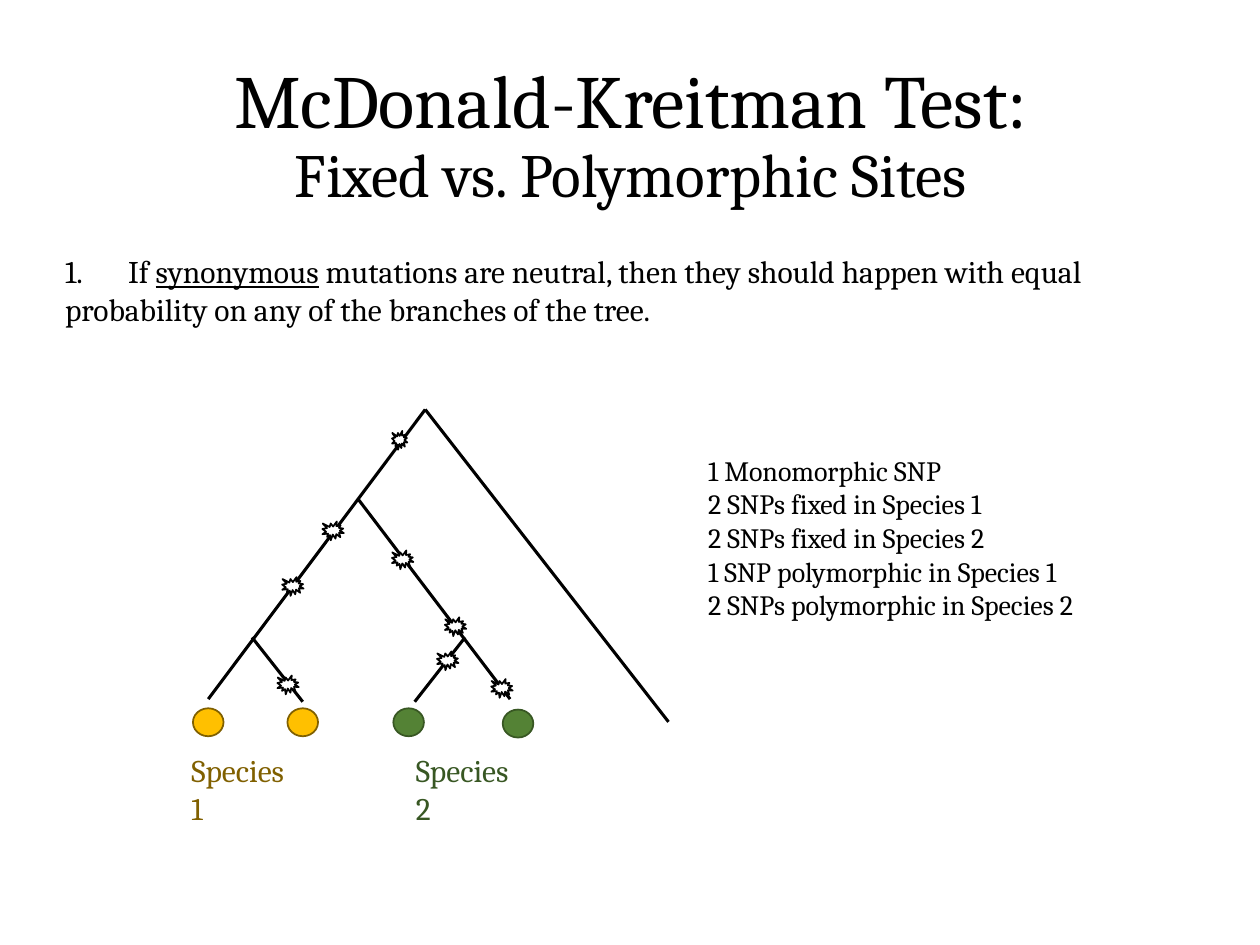
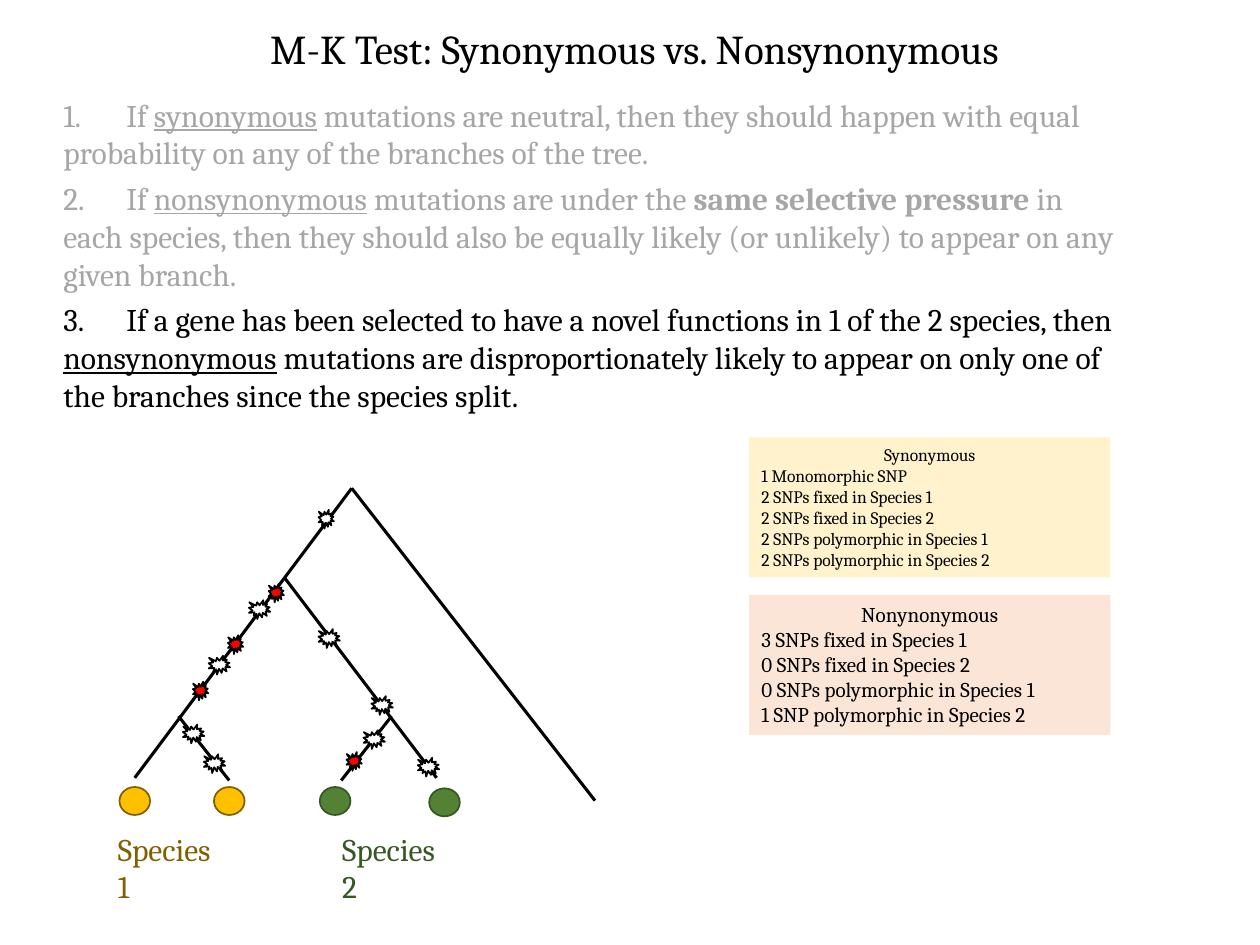
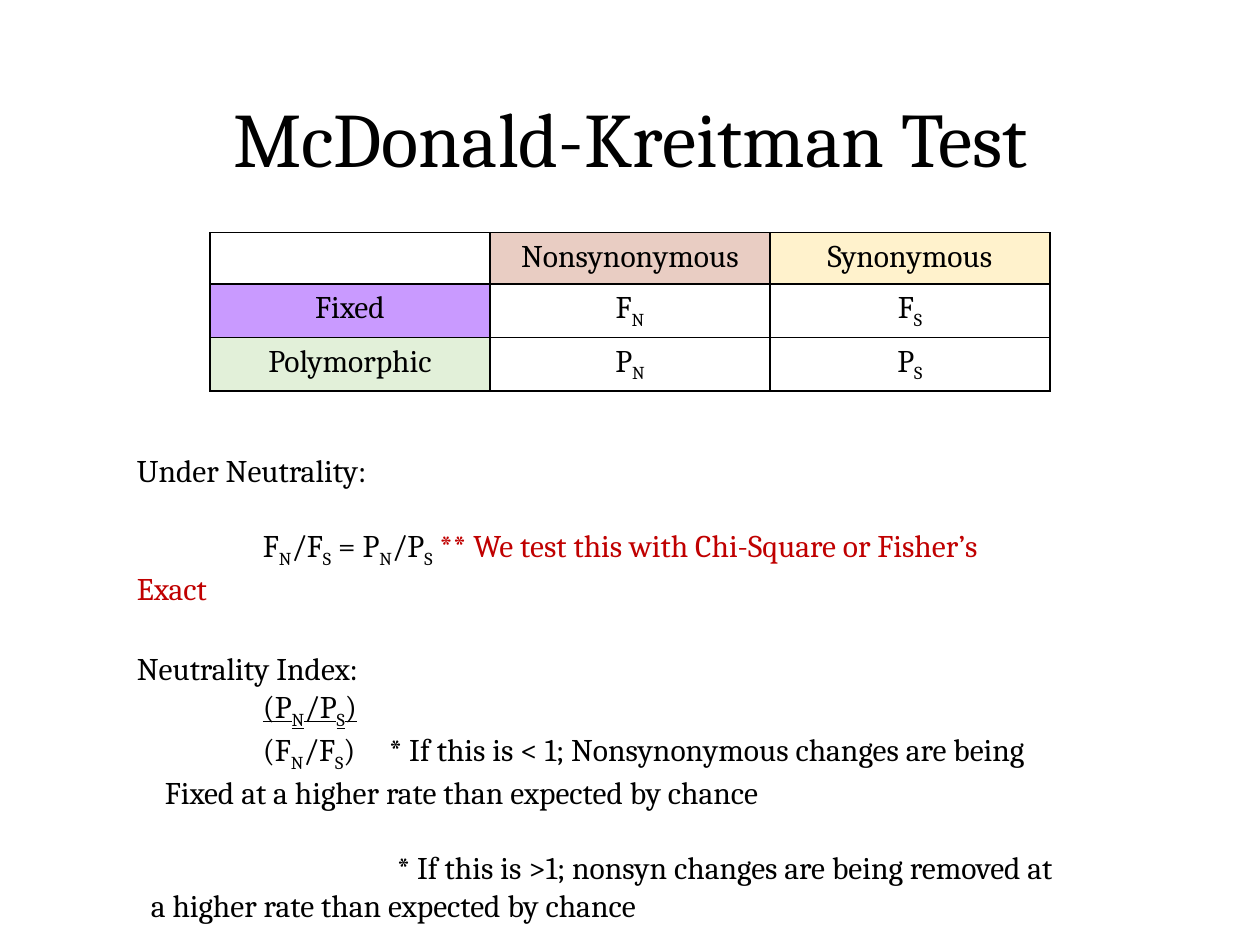
from dataclasses import dataclass, field
from typing import Any, Optional

from lxml import etree
from pptx import Presentation
from pptx import util as u
from pptx.dml import color
from pptx.enum import shapes, text
from pptx.oxml import ns

Pt = u.Pt
CENTER = text.PP_ALIGN.CENTER


@dataclass(frozen=True)
class Theme:
    font: str = "Cambria"
    ink: str = "000000"
    paper: str = "FFFFFF"
    faded: str = "A6A6A6"
    alert: str = "C00000"
    mutation: str = "FF0000"
    gold: str = "FFC000"
    gold_dark: str = "806000"
    green: str = "548235"
    green_dark: str = "385723"
    cream: str = "FFF2CC"
    peach: str = "FBE5D6"
    rose: str = "D59D89"
    violet: str = "9437FF"
    mint: str = "E2F0D9"
    title: float = 44
    title_first: float = 42.9
    title_second: float = 35.1
    title_small: float = 23.4
    body: float = 18
    notes: float = 16
    panel: float = 12
    panel_small: float = 10
    branch: float = 1.75
    outline: float = 1


THEME = Theme()


@dataclass(frozen=True)
class Box:
    left: float
    top: float
    width: float
    height: float

    def lengths(self) -> tuple:
        return Pt(self.left), Pt(self.top), Pt(self.width), Pt(self.height)


@dataclass(frozen=True)
class Span:
    text: str
    format: dict[str, Any] = field(default_factory=dict)
    colour: str = THEME.ink
    lowered: bool = False


@dataclass(frozen=True)
class Para:
    spans: list[Span]
    format: dict[str, Any] = field(default_factory=dict)
    margin: float = 0
    indent: float = 0
    tab: Optional[float] = None


@dataclass(frozen=True)
class Branch:
    start: tuple[float, float]
    end: tuple[float, float]


@dataclass(frozen=True)
class Species:
    name: str
    fill: str
    dark: str
    label_left: float
    tips: list[tuple[float, float]]


@dataclass(frozen=True)
class Mutation:
    left: float
    top: float
    width: float = 12.25
    fill: str = THEME.paper


@dataclass(frozen=True)
class Panel:
    box: Box
    lines: list[str]
    size: float
    fill: Optional[str] = None
    heading: Optional[str] = None


# Tree positions are measured from its apex.
SPLIT, SPLIT_1, SPLIT_2 = (-38.5, 51), (-99, 130.25), (22.75, 130.25)
BRANCHES = [
    Branch((-124, 165.5), (0, 0)),
    Branch((139, 178.5), (0, 0)),
    Branch((48.5, 165.5), SPLIT),
    Branch((-70, 167), SPLIT_1),
    Branch((-6, 167), SPLIT_2),
]
SPECIES = [
    Species("Species 1", THEME.gold, THEME.gold_dark, -140.75,
            [(-132.75, 170.75), (-78.75, 170.75)]),
    Species("Species 2", THEME.green, THEME.green_dark, -12.5,
            [(-18.25, 170.75), (44.25, 171.5)]),
]
SILENT = [
    Mutation(-19, 12.25, 8.75),
    Mutation(-19, 80.5),
    Mutation(-81.75, 95.75),
    Mutation(-84.5, 152),
    Mutation(6.75, 138.25),
    Mutation(-58.75, 64),
    Mutation(37.75, 154),
    Mutation(11.25, 118.75),
]
CHANGING = [
    Mutation(left, top, 8.75, THEME.mutation)
    for left, top in [(-47.5, 54.5), (-70.75, 84), (-90.75, 110.5), (-3, 150.75)]
]


def rgb(value: str) -> color.RGBColor:
    return color.RGBColor.from_string(value)


def add_node(parent: Any, tag: str, **values: Any) -> Any:
    node = etree.SubElement(parent, ns.qn(tag))
    for name, value in values.items():
        node.set(name, str(value))
    return node


def write(frame: Any, paras: list[Para], size: float = THEME.body) -> None:
    """Fill a text frame, without bullets, at one base size."""
    for number, para in enumerate(paras):
        target = frame.paragraphs[0] if number == 0 else frame.add_paragraph()
        for name, value in {"space_before": Pt(0), **para.format}.items():
            setattr(target, name, value)
        properties = target._p.get_or_add_pPr()
        properties.set("marL", str(Pt(para.margin)))
        properties.set("indent", str(Pt(para.indent)))
        add_node(properties, "a:buNone")
        if para.tab is not None:
            stops = add_node(properties, "a:tabLst")
            add_node(stops, "a:tab", pos=Pt(para.tab), algn="l")
        for span in para.spans:
            if span.text == "\n":
                target.add_line_break()
                continue
            run = target.add_run()
            run.text = span.text
            base = {"name": THEME.font, "size": Pt(size)}
            for name, value in {**base, **span.format}.items():
                setattr(run.font, name, value)
            run.font.color.rgb = rgb(span.colour)
            if span.lowered:
                run._r.get_or_add_rPr().set("baseline", "-25000")


def fill_placeholder(holder: Any, box: Box, paras: list[Para],
                     size: float = THEME.body) -> None:
    holder.left, holder.top, holder.width, holder.height = box.lengths()
    holder.text_frame.auto_size = text.MSO_AUTO_SIZE.NONE
    write(holder.text_frame, paras, size)


def add_page(deck: Any, title: list[Span], title_box: Box, title_size: float,
             body: list[Para], body_box: Box) -> Any:
    page = deck.slides.add_slide(deck.slide_layouts.get_by_name("Title and Content"))
    heading = Para(title, {"alignment": CENTER, "line_spacing": 0.9})
    fill_placeholder(page.shapes.title, title_box, [heading], title_size)
    fill_placeholder(page.placeholders[1], body_box, body)
    return page


def add_text(parent: Any, box: Box, paras: list[Para], size: float) -> Any:
    shape = parent.add_textbox(*box.lengths())
    shape.text_frame.word_wrap = True
    write(shape.text_frame, paras, size)
    return shape


def add_panel(page: Any, panel: Panel) -> None:
    paras = [Para([Span(line)]) for line in panel.lines]
    if panel.heading:
        paras.insert(0, Para([Span(panel.heading)], {"alignment": CENTER}))
    shape = add_text(page.shapes, panel.box, paras, panel.size)
    if panel.fill:
        shape.fill.solid()
        shape.fill.fore_color.rgb = rgb(panel.fill)


def add_mark(parent: Any, kind: Any, box: Box, fill: str, line: str) -> None:
    shape = parent.add_shape(kind, *box.lengths())
    shape.shadow.inherit = False
    shape.fill.solid()
    shape.fill.fore_color.rgb = rgb(fill)
    shape.line.color.rgb = rgb(line)
    shape.line.width = Pt(THEME.outline)


def add_tree(page: Any, apex: tuple[float, float], mutations: list[Mutation]) -> None:
    group = page.shapes.add_group_shape().shapes
    x, y = apex
    for branch in BRANCHES:
        ends = [Pt(origin + step) for point in (branch.start, branch.end)
                for origin, step in zip(apex, point)]
        line = group.add_connector(shapes.MSO_CONNECTOR.STRAIGHT, *ends)
        line.line.color.rgb = rgb(THEME.ink)
        line.line.width = Pt(THEME.branch)
        add_node(line._element.spPr, "a:effectLst")
    for species in SPECIES:
        for left, top in species.tips:
            add_mark(group, shapes.MSO_SHAPE.OVAL, Box(x + left, y + top, 17.5, 16),
                     species.fill, species.dark)
        label = Para([Span(species.name, colour=species.dark)])
        add_text(group, Box(x + species.label_left, y + 191.5, 71.5, 22.5),
                 [label], THEME.body)
    for mutation in mutations:
        box = Box(x + mutation.left, y + mutation.top, mutation.width, 10.75)
        add_mark(group, shapes.MSO_SHAPE.EXPLOSION1, box, mutation.fill, THEME.ink)


def statement(number: int, *parts: tuple[str, dict], colour: str = THEME.ink,
              before: float = 0) -> Para:
    spans = [Span(f"{number}.\t", colour=colour)]
    spans += [Span(words, look, colour) for words, look in parts]
    return Para(spans, {"space_before": Pt(before)}, tab=18.5)


def neutral_statement(colour: str) -> Para:
    return statement(
        1, ("If ", {}), ("synonymous", {"underline": True}),
        (" mutations are neutral, then they should happen with equal probability "
         "on any of the branches of the tree.", {}), colour=colour)


def count(letter: str, kind: str, **look: Any) -> list[Span]:
    return [Span(letter, look), Span(kind, look, lowered=True)]


def ratio(letter: str, **look: Any) -> list[Span]:
    return count(letter, "N", **look) + [Span("/", look)] + count(letter, "S", **look)


def add_count_table(page: Any) -> None:
    rows = [
        [[], [Span("Nonsynonymous")], [Span("Synonymous")]],
        [[Span("Fixed")], count("F", "N"), count("F", "S")],
        [[Span("Polymorphic")], count("P", "N"), count("P", "S")],
    ]
    fills = {(0, 1): (THEME.rose, 50), (0, 2): (THEME.cream, 100),
             (1, 0): (THEME.violet, 50), (2, 0): (THEME.mint, 100)}
    table = page.shapes.add_table(3, 3, *Box(120, 133, 480, 87.75).lengths()).table
    table.first_row = table.horz_banding = False
    for r, row in enumerate(rows):
        table.rows[r].height = Pt(29.25)
        for c, spans in enumerate(row):
            cell = table.cell(r, c)
            write(cell.text_frame, [Para(spans, {"alignment": CENTER})])
            properties = cell._tc.get_or_add_tcPr()
            for side in "LRTB":
                edge = add_node(properties, f"a:ln{side}", w=Pt(THEME.outline))
                add_node(add_node(edge, "a:solidFill"), "a:srgbClr", val=THEME.ink)
            if (r, c) not in fills:
                cell.fill.background()
                continue
            value, opacity = fills[r, c]
            cell.fill.solid()
            cell.fill.fore_color.rgb = rgb(value)
            if opacity < 100:
                tint = properties.find(ns.qn("a:solidFill")).find(ns.qn("a:srgbClr"))
                add_node(tint, "a:alpha", val=opacity * 1000)


def build_fixed_page(deck: Any) -> None:
    title = [Span("McDonald-Kreitman Test:"), Span("\n"),
             Span("Fixed vs. Polymorphic Sites", {"size": Pt(THEME.title_second)})]
    page = add_page(deck, title, Box(50, 29, 621, 98.5), THEME.title_first,
                    [neutral_statement(THEME.ink)], Box(30, 140.5, 621, 51))
    add_tree(page, (243, 234), SILENT)
    add_panel(page, Panel(Box(397.5, 255.5, 264, 104.5), [
        "1 Monomorphic SNP",
        "2 SNPs fixed in Species 1",
        "2 SNPs fixed in Species 2",
        "1 SNP polymorphic in Species 1",
        "2 SNPs polymorphic in Species 2",
    ], THEME.notes))


def build_comparison_page(deck: Any) -> None:
    underlined = {"underline": True}
    body = [
        neutral_statement(THEME.faded),
        statement(
            2, ("If ", {}), ("nonsynonymous", underlined),
            (" mutations are under the ", {}),
            ("same selective pressure", {"bold": True}),
            (" in each species, then they should also be equally likely "
             "(or unlikely) to appear on any given branch.", {}),
            colour=THEME.faded, before=4.5),
        statement(
            3, ("If a gene has been selected to have a novel functions in 1 of "
                "the 2 species, then ", {}), ("nonsynonymous", underlined),
            (" mutations are disproportionately likely to appear on only one of "
             "the branches since the species split.", {}), before=4.5),
    ]
    page = add_page(deck, [Span("M-K Test: Synonymous vs. Nonsynonymous")],
                    Box(52, 8, 621, 42.5), THEME.title_small,
                    body, Box(29, 51, 621, 189.5))
    add_tree(page, (201, 279), SILENT + CHANGING + [Mutation(-96.5, 135)])
    add_panel(page, Panel(Box(428, 250, 206.5, 80), [
        "1 Monomorphic SNP",
        "2 SNPs fixed in Species 1",
        "2 SNPs fixed in Species 2",
        "2 SNPs polymorphic in Species 1",
        "2 SNPs polymorphic in Species 2",
    ], THEME.panel_small, THEME.cream, "Synonymous"))
    add_panel(page, Panel(Box(428, 340, 206.5, 80), [
        "3 SNPs fixed in Species 1",
        "0 SNPs fixed in Species 2",
        "0 SNPs polymorphic in Species 1",
        "1 SNP polymorphic in Species 2",
    ], THEME.panel, THEME.peach, "Nonynonymous"))


def build_index_page(deck: Any) -> None:
    gap = {"space_before": Pt(21.5)}
    underlined = {"underline": True}
    body = [
        Para([Span("Under Neutrality:")]),
        Para([*ratio("F"), Span(" = "), *ratio("P"),
              Span(" ** We test this with Chi-Square or Fisher’s", colour=THEME.alert),
              Span("\n"), Span("Exact", colour=THEME.alert)], gap, indent=72),
        Para([Span("Neutrality Index:")], {"space_before": Pt(24)}),
        Para([Span("(", underlined), *ratio("P", **underlined), Span(")", underlined)],
             indent=72),
        Para([Span("("), *ratio("F"),
              Span(")\t* If this is < 1; Nonsynonymous changes are being")],
             indent=72, tab=141.75),
        Para([Span("Fixed at a higher rate than expected by chance")], margin=16),
        Para([Span("* If this is >1; nonsyn changes are being removed at"),
              Span("\n"), Span("a higher rate than expected by chance")],
             gap, margin=8, indent=140.5),
    ]
    page = add_page(deck, [Span("McDonald-Kreitman Test")], Box(50, 29, 621, 104.5),
                    THEME.title, body, Box(71, 254, 599, 262))
    add_count_table(page)


def main() -> None:
    deck = Presentation()
    deck.slide_width, deck.slide_height = Pt(720), Pt(540)
    build_fixed_page(deck)
    build_comparison_page(deck)
    build_index_page(deck)
    deck.save("out.pptx")


if __name__ == "__main__":
    main()
